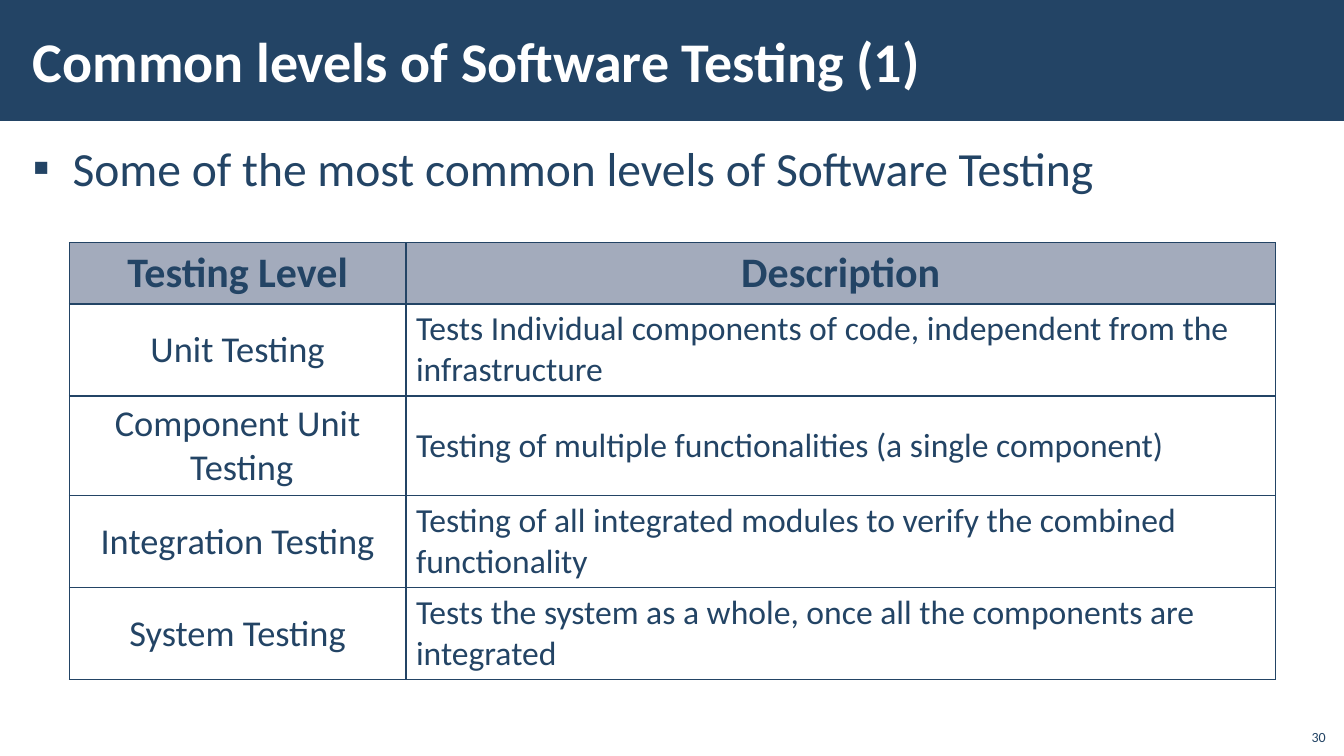
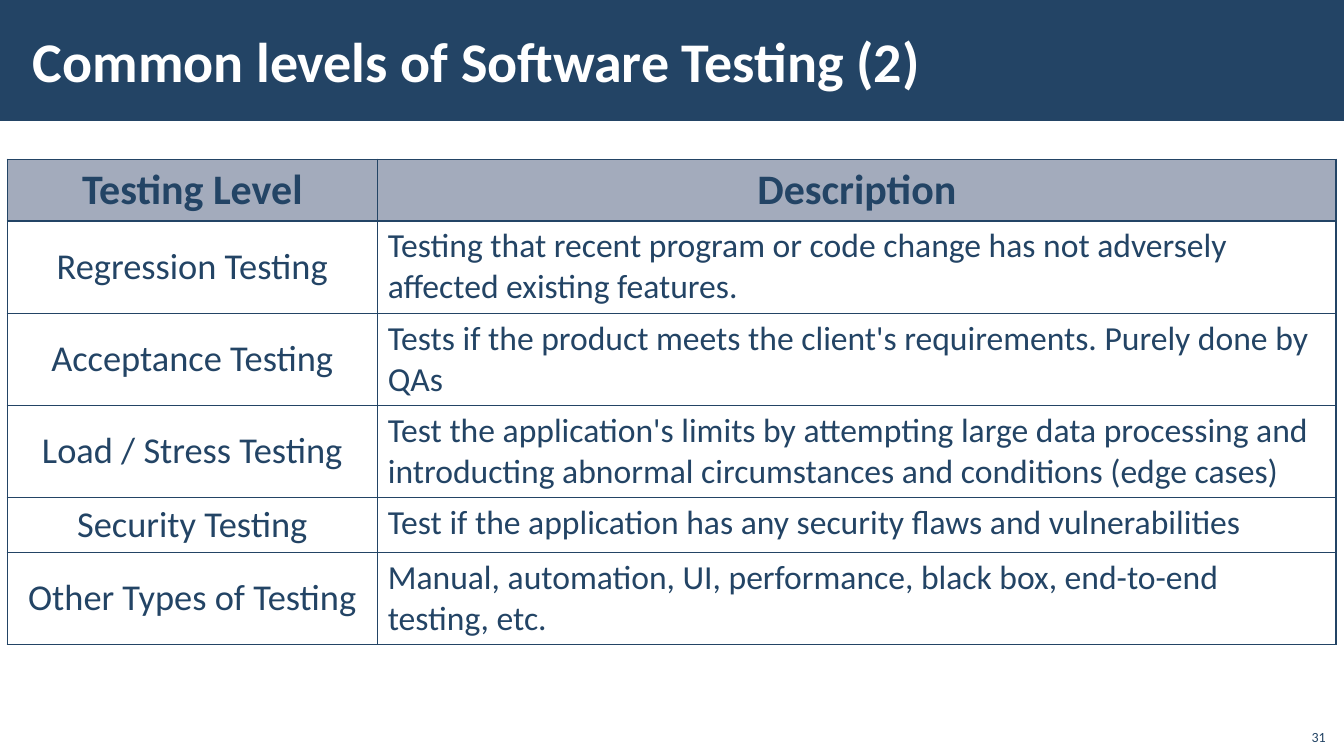
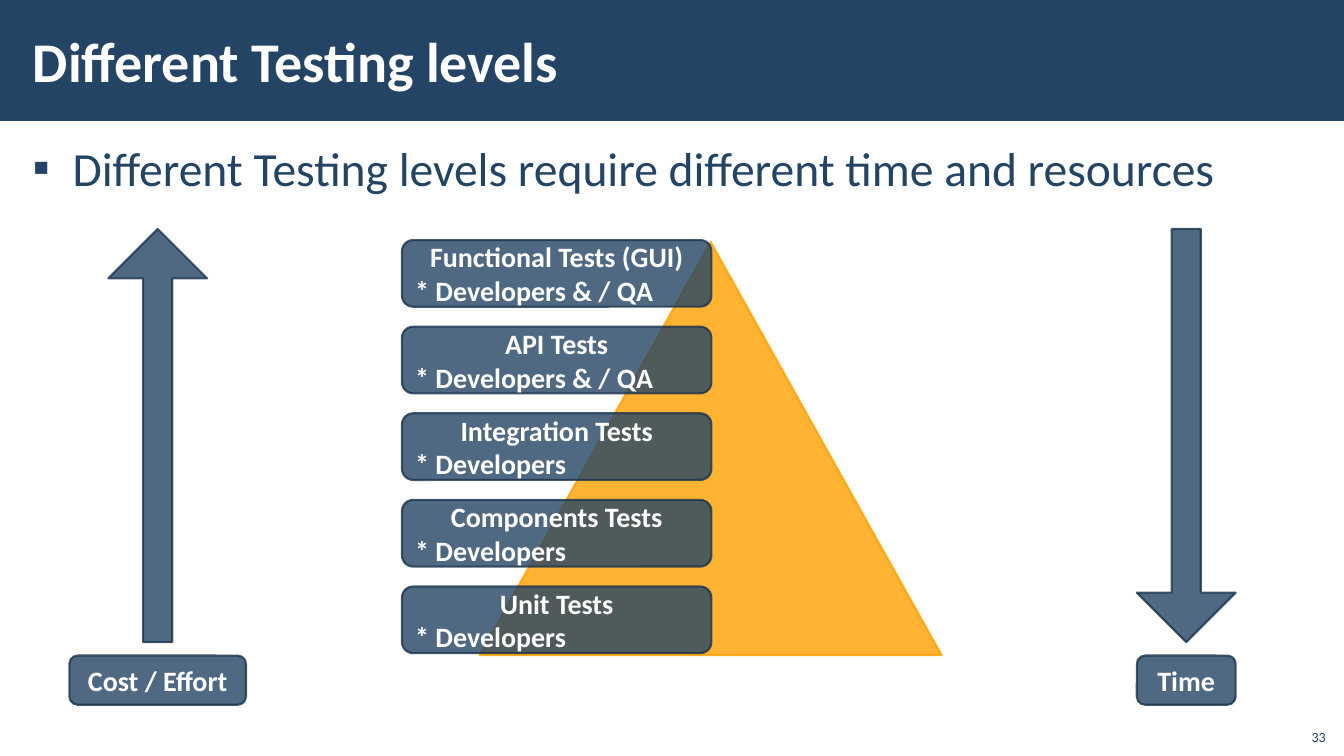
from collections import namedtuple

from lxml import etree
from pptx import Presentation
from pptx import util as u
from pptx.dml import color
from pptx.enum import shapes, text
from pptx.oxml import ns

Box = namedtuple("Box", "left top width height")

FONT = "Calibri"
NAVY = "234465"
DARK_NAVY = "1A334C"
ORANGE = "FFA000"
GREY = "A3ABBC"
WHITE = "FFFFFF"
OPACITY = 80

SLIDE = Box(0, 0, 33.87, 19.05)
BAND = Box(0, 0, 33.87, 3.05)
TITLE = Box(0.53, 0.28, 27, 2.46)
BODY = Box(0.53, 3.33, 32.82, 15.37)
PAGE_NUMBER = Box(32.64, 18.08, 1.02, 0.81)

LEFT = text.PP_ALIGN.LEFT
CENTER = text.PP_ALIGN.CENTER
RIGHT = text.PP_ALIGN.RIGHT
MIDDLE = text.MSO_ANCHOR.MIDDLE
TOP = text.MSO_ANCHOR.TOP


def rgb(value):
    return color.RGBColor.from_string(value)


def place(box):
    return [u.Cm(length) for length in box]


def add_run(paragraph, words, size, colour, bold=False):
    run = paragraph.add_run()
    run.text = words
    run.font.name = FONT
    run.font.size = u.Pt(size)
    run.font.bold = bold
    run.font.color.rgb = rgb(colour)


def write(frame, lines, size, colour, bold=False, anchor=MIDDLE):
    frame.word_wrap = True
    frame.vertical_anchor = anchor
    for index, (words, alignment) in enumerate(lines):
        paragraph = frame.add_paragraph() if index else frame.paragraphs[0]
        paragraph.alignment = alignment
        add_run(paragraph, words, size, colour, bold)


def add_text(slide, box, words, size, colour, bold=False, anchor=MIDDLE, alignment=LEFT):
    frame = slide.shapes.add_textbox(*place(box)).text_frame
    frame.margin_left = frame.margin_right = u.Cm(0.3)
    frame.margin_top = frame.margin_bottom = u.Cm(0.1)
    write(frame, [(words, alignment)], size, colour, bold, anchor)
    return frame


def set_opacity(fill):
    solid = fill.fore_color.rgb and fill._xPr.find(ns.qn("a:solidFill"))
    etree.SubElement(solid[0], ns.qn("a:alpha"), val=str(OPACITY * 1000))


def add_tinted_shape(parent, preset, box, fill=NAVY, line=DARK_NAVY):
    shape = parent.shapes.add_shape(preset, *place(box))
    shape.shadow.inherit = False
    shape.line.width = u.Pt(1.5)
    for paint, colour in ((shape.fill, fill), (shape.line.fill, line)):
        paint.solid()
        paint.fore_color.rgb = rgb(colour)
        set_opacity(paint)
    return shape


def add_label(parent, box, lines):
    label = add_tinted_shape(parent, shapes.MSO_SHAPE.ROUNDED_RECTANGLE, box)
    write(label.text_frame, lines, 20, WHITE, bold=True)


def start_slide(presentation, title, number):
    slide = presentation.slides.add_slide(presentation.slide_layouts[6])
    band = slide.shapes.add_shape(shapes.MSO_SHAPE.RECTANGLE, *place(BAND))
    band.shadow.inherit = False
    band.fill.solid()
    band.fill.fore_color.rgb = rgb(NAVY)
    band.line.fill.background()
    add_text(slide, TITLE, title, 40, WHITE, bold=True)
    footer = add_text(slide, PAGE_NUMBER, str(number), 10, NAVY,
                      anchor=text.MSO_ANCHOR.BOTTOM, alignment=RIGHT)
    footer.margin_left = footer.margin_right = u.Cm(0.25)
    return slide


def add_bullet(slide, box, words):
    paragraph = add_text(slide, box, words, 34, NAVY, anchor=TOP).paragraphs[0]
    paragraph.line_spacing = 1.05
    paragraph.space_before = paragraph.space_after = u.Pt(6)
    properties = paragraph._p.get_or_add_pPr()
    properties.set("marL", str(u.Cm(1)))
    properties.set("indent", str(-u.Cm(1)))
    etree.SubElement(properties, ns.qn("a:buFont"), typeface="Wingdings")
    properties[-1].set("typeface", FONT)
    etree.SubElement(properties, ns.qn("a:buChar"), char="▪")


def style_cell(cell, fill=None):
    properties = cell._tc.get_or_add_tcPr()
    for side in ("lnL", "lnR", "lnT", "lnB"):
        border = etree.SubElement(properties, ns.qn("a:" + side), w=str(u.Pt(1)))
        solid = etree.SubElement(border, ns.qn("a:solidFill"))
        etree.SubElement(solid, ns.qn("a:srgbClr"), val=NAVY)
    if fill:
        cell.fill.solid()
        cell.fill.fore_color.rgb = rgb(fill)
    else:
        cell.fill.background()


def add_level_table(slide, box, level_width, levels, heights):
    table = slide.shapes.add_table(len(levels) + 1, 2, *place(box)).table
    table.horz_banding = False
    table.columns[0].width = u.Cm(level_width)
    table.columns[1].width = u.Cm(box.width - level_width)
    for row, height in zip(table.rows, heights):
        row.height = u.Cm(height)
    for cell, heading in zip(table.rows[0].cells, ("Testing Level", "Description")):
        style_cell(cell, GREY)
        write(cell.text_frame, [(heading, CENTER)], 30, NAVY, bold=True, anchor=TOP)
        cell.vertical_anchor = TOP
    for index, (level, description, anchor) in enumerate(levels, 1):
        level_cell, description_cell = table.rows[index].cells
        style_cell(level_cell)
        style_cell(description_cell)
        lines = [(line, CENTER) for line in level.split("\n")]
        write(level_cell.text_frame, lines, 26, NAVY)
        write(description_cell.text_frame, [(description, LEFT)], 24, NAVY)
        level_cell.vertical_anchor = MIDDLE
        description_cell.vertical_anchor = anchor


def add_pyramid(slide, box, tests):
    group = slide.shapes.add_group_shape()
    inset, drop = 1.96, 0.05
    label_width, label_height = 7.8, 1.68
    triangle = Box(box.left + inset, box.top + drop, box.width - inset, box.height - drop)
    add_tinted_shape(group, shapes.MSO_SHAPE.ISOSCELES_TRIANGLE, triangle, ORANGE, ORANGE)
    pitch = (box.height - drop - label_height) / (len(tests) - 1)
    for index, (name, people) in enumerate(tests):
        label = Box(box.left, box.top + index * pitch, label_width, label_height)
        add_label(group, label, [(name, CENTER), ("* " + people, LEFT)])


def add_scale(slide, box, preset, name):
    group = slide.shapes.add_group_shape()
    arrow_width, arrow_height, label_height = 2.49, 10.41, 1.24
    left = box.left + (box.width - arrow_width) / 2
    arrow = add_tinted_shape(group, preset, Box(left, box.top, arrow_width, arrow_height))
    arrow.adjustments[0] = 0.295
    arrow.adjustments[1] = 0.5
    label_top = box.top + box.height - label_height
    add_label(group, Box(box.left, label_top, box.width, label_height), [(name, CENTER)])


def build_first_levels(presentation):
    slide = start_slide(presentation, "Common levels of Software Testing (1)", 30)
    add_bullet(slide, BODY, "Some of the most common levels of Software Testing")
    levels = [
        ("Unit Testing",
         "Tests Individual components of code, independent from the infrastructure", TOP),
        ("Component Unit\n Testing",
         "Testing of multiple functionalities (a single component)", MIDDLE),
        ("Integration Testing",
         "Testing of all integrated modules to verify the combined functionality", TOP),
        ("System Testing",
         "Tests the system as a whole, once all the components are integrated", TOP),
    ]
    heights = [1.54, 2.32, 2.51, 2.32, 2.32]
    add_level_table(slide, Box(1.75, 6.12, 30.4, sum(heights)), 8.48, levels, heights)


def build_further_levels(presentation):
    slide = start_slide(presentation, "Common levels of Software Testing (2)", 31)
    levels = [
        ("Regression Testing",
         "Testing that recent program or code change has not adversely "
         "affected existing features.", TOP),
        ("Acceptance Testing",
         "Tests if the product meets the client's requirements. Purely done by QAs", TOP),
        ("Load / Stress Testing",
         "Test the application's limits by attempting large data processing and "
         "introducting abnormal circumstances and conditions (edge cases)", TOP),
        ("Security Testing",
         "Test if the application has any security flaws and vulnerabilities", TOP),
        ("Other Types of Testing",
         "Manual, automation, UI, performance, black box, end-to-end testing, etc.", TOP),
    ]
    heights = [1.56, 2.32, 2.32, 2.32, 1.39, 2.32]
    add_level_table(slide, Box(0.18, 4.01, 33.49, sum(heights)), 9.34, levels, heights)


def build_pyramid(presentation):
    slide = start_slide(presentation, "Different Testing levels", 33)
    add_bullet(slide, BODY, "Different Testing levels require different time and resources")
    tests = [
        ("Functional Tests (GUI)", "Developers & / QA"),
        ("API Tests", "Developers & / QA"),
        ("Integration Tests", "Developers"),
        ("Components Tests", "Developers"),
        ("Unit Tests", "Developers"),
    ]
    add_pyramid(slide, Box(10.13, 6.05, 13.6, 10.46), tests)
    add_scale(slide, Box(1.75, 5.77, 4.45, 11.99), shapes.MSO_SHAPE.UP_ARROW, "Cost / Effort")
    add_scale(slide, Box(28.65, 5.77, 2.49, 11.99), shapes.MSO_SHAPE.DOWN_ARROW, "Time")


def main():
    presentation = Presentation()
    presentation.slide_width = u.Cm(SLIDE.width)
    presentation.slide_height = u.Cm(SLIDE.height)
    build_first_levels(presentation)
    build_further_levels(presentation)
    build_pyramid(presentation)
    presentation.save("out.pptx")


if __name__ == "__main__":
    main()
